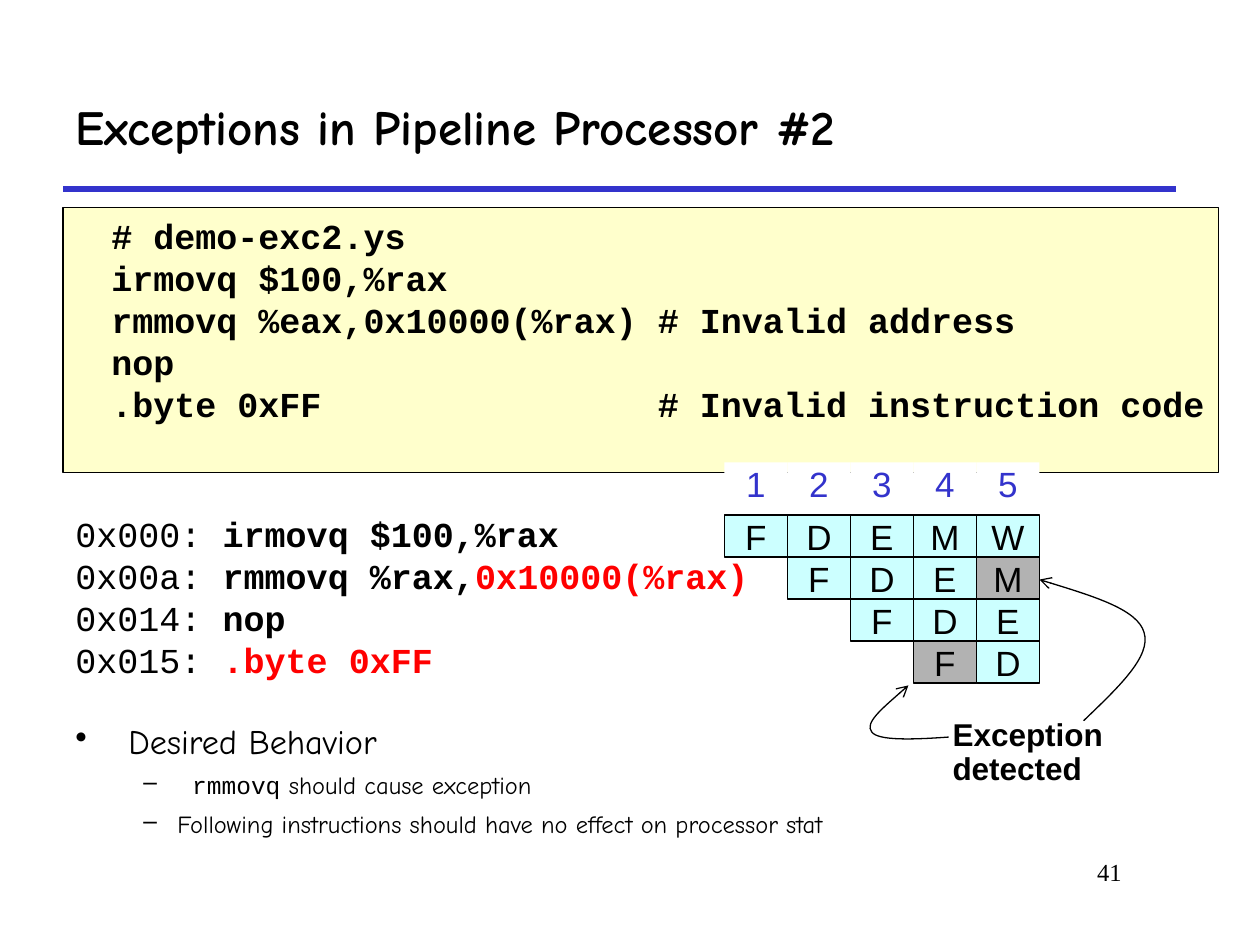
from lxml import etree
from pptx import Presentation
from pptx import util as u
from pptx.dml.color import RGBColor
from pptx.enum import shapes, text
from pptx.oxml import ns

COLORS = {"black": "000000", "white": "FFFFFF", "blue": "3333CC", "red": "FF0000",
          "cream": "FFFFCC", "cyan": "CCFFFF", "gray": "B2B2B2"}
MONO, SANS, COMIC, SERIF = "Courier New", "Arial", "Comic Neue", "Times New Roman"
LEFT, CENTER, RIGHT = text.PP_ALIGN.LEFT, text.PP_ALIGN.CENTER, text.PP_ALIGN.RIGHT
TOP, MIDDLE = text.MSO_ANCHOR.TOP, text.MSO_ANCHOR.MIDDLE

CODE = """  # demo-exc2.ys
  irmovq $100,%rax
  rmmovq %eax,0x10000(%rax) # Invalid address
  nop
  .byte 0xFF                # Invalid instruction code""".split("\n")
# Address, plain part and faulty part of each instruction
LISTING = [("0x000: ", "irmovq $100,%rax", ""),
           ("0x00a: ", "rmmovq %rax,", "0x10000(%rax)"),
           ("0x014: ", "nop", ""),
           ("0x015: ", "", ".byte 0xFF")]
STAGES = "FDEMW"
FAULTS = {(1, 4), (3, 3)}
GRID_LEFT, GRID_TOP, CELL_WIDTH, ROW_STEP = 5.75, 4.09, 0.5, 1 / 3


def rgb(name):
    return RGBColor.from_string(COLORS[name])


def inches(*lengths):
    return [u.Inches(length) for length in lengths]


def set_font(font, name, size, color="black", bold=False):
    font.name, font.size, font.bold = name, u.Pt(size), bold
    font.color.rgb = rgb(color)


def set_frame(box, anchor=TOP, wrap=True, inset=None):
    frame = box.text_frame
    frame.vertical_anchor, frame.word_wrap = anchor, wrap
    if inset is not None:
        frame.margin_left = frame.margin_right = u.Inches(inset)
        frame.margin_top = frame.margin_bottom = u.Inches(inset)
    return frame


def write_lines(frame, lines, align, *font):
    for index, line in enumerate(lines):
        para = frame.add_paragraph() if index else frame.paragraphs[0]
        para.alignment = align
        set_font(para.font, *font)
        para.add_run().text = line


def add_text(page, place, line, font, align=LEFT, **layout):
    box = page.shapes.add_textbox(*inches(*place))
    frame = set_frame(box, **layout)
    write_lines(frame, [line], align, *font)
    return frame


def add_panel(page, place, fill, border=None):
    box = page.shapes.add_shape(shapes.MSO_SHAPE.RECTANGLE, *inches(*place))
    box.shadow.inherit = False
    box.fill.solid()
    box.fill.fore_color.rgb = rgb(fill)
    if border:
        box.line.color.rgb = rgb("black")
        box.line.width = u.Pt(border)
    else:
        box.line.fill.background()
    return box


def add_cell(page, row_top, column, label, fill, color="black", border=None):
    place = (GRID_LEFT + column * CELL_WIDTH, row_top, CELL_WIDTH, 0.33)
    box = add_panel(page, place, fill, border)
    write_lines(set_frame(box, MIDDLE, False), [label], CENTER, SANS, 20, color)


def add_instruction(page, row, address, plain, faulty):
    box = add_panel(page, (0.5, 4.07 + row * ROW_STEP, 5.33 if row == 1 else 2.84, 0.33), "white")
    para = set_frame(box, MIDDLE, False).paragraphs[0]
    para.alignment = LEFT
    set_font(para.font, MONO, 20)
    for part, bold, color in ((address, False, "black"), (plain, True, "black"),
                              (faulty, True, "red")):
        if part:
            span = para.add_run()
            span.text = part
            span.font.bold, span.font.color.rgb = bold, rgb(color)


def add_bullet(para, mark, margin, hang, size, spans, before=0):
    props = para._p.get_or_add_pPr()
    props.set("marL", str(u.Inches(margin)))
    props.set("indent", str(-u.Inches(hang)))
    color = etree.SubElement(props, ns.qn("a:buClr"))
    etree.SubElement(color, ns.qn("a:srgbClr"), val=COLORS["black"])
    etree.SubElement(props, ns.qn("a:buChar"), char=mark)
    para.space_before = u.Pt(before)
    set_font(para.font, COMIC, size)
    for words, name in spans:
        span = para.add_run()
        span.text = words
        if name != COMIC:
            span.font.name = name


def add_curved_arrow(page, start, *points):
    """Draw cubic curves: each three points are two handles and an end."""
    builder = page.shapes.build_freeform(*inches(*start))
    builder.add_line_segments([inches(*point) for point in points], close=False)
    arrow = builder.convert_to_shape()
    arrow.shadow.inherit = False
    arrow.fill.background()
    arrow.line.color.rgb = rgb("black")
    arrow.line.width = u.Pt(0.75)
    etree.SubElement(arrow.line._get_or_add_ln(), ns.qn("a:tailEnd"), type="arrow")
    # Turn each three straight segments into one curve
    segments = list(arrow._element.iter(ns.qn("a:lnTo")))
    for first in range(0, len(segments), 3):
        curve = etree.Element(ns.qn("a:cubicBezTo"))
        segments[first].addprevious(curve)
        for segment in segments[first:first + 3]:
            curve.append(segment[0])
            segment.getparent().remove(segment)


def add_rule(page):
    rule = page.shapes.add_connector(shapes.MSO_CONNECTOR.STRAIGHT, *inches(0.5, 1.5, 9.33, 1.5))
    rule.line.color.rgb = rgb("blue")
    rule.line.width = u.Pt(3)
    etree.SubElement(rule._element.spPr, ns.qn("a:effectLst"))


def add_behavior(page):
    frame = set_frame(page.shapes.add_textbox(*inches(0.5, 5.67, 9.08, 1.09)))
    add_bullet(frame.paragraphs[0], "•", 0.42, 0.42, 19.6, [("Desired Behavior", COMIC)])
    for spans in ([(" rmmovq", MONO), (" should cause exception", COMIC)],
                  [("Following instructions should have no effect on processor stat", COMIC)]):
        add_bullet(frame.add_paragraph(), "–", 0.81, 0.27, 14, spans, before=5)


def add_pipeline(page):
    for column in range(len(STAGES)):
        add_cell(page, 3.67, column, str(column + 1), "white", "blue")
    for row in range(len(LISTING)):
        for column in range(row, len(STAGES)):
            fill = "gray" if (row, column) in FAULTS else "cyan"
            add_cell(page, GRID_TOP + row * ROW_STEP, column, STAGES[column - row], fill, border=1)


def main():
    deck = Presentation()
    deck.slide_width, deck.slide_height = inches(10, 7.5)
    page = deck.slides.add_slide(deck.slide_layouts[6])

    # Heading, page number and bullets
    add_rule(page)
    add_text(page, (7.58, 6.75, 1.42, 0.5), "41", (SERIF, 14), RIGHT)
    add_text(page, (0.5, 0.5, 8.83, 1), "Exceptions in Pipeline Processor #2",
             (COMIC, 28, "black", True), anchor=MIDDLE)
    add_behavior(page)

    # Source code and its instruction listing
    code_box = add_panel(page, (0.5, 1.65, 9.17, 2.1), "cream", 0.75)
    write_lines(set_frame(code_box, inset=0.05), CODE, LEFT, MONO, 20, "black", True)
    for row, parts in enumerate(LISTING):
        add_instruction(page, row, *parts)

    # Pipeline stages and the exception callout
    add_pipeline(page)
    callout = add_text(page, (7.51, 5.66, 2.39, 0.37), "Exception detected",
                       (SANS, 18, "black", True), wrap=False, inset=0.05)
    callout.paragraphs[0].line_spacing = 0.9
    add_curved_arrow(page, (8.6, 5.72), (8.87, 5.46), (9.14, 5.21), (9.08, 5.02),
                     (9.03, 4.84), (8.64, 4.72), (8.25, 4.6))
    add_curved_arrow(page, (7.53, 5.85), (7.25, 5.87), (6.97, 5.88), (6.92, 5.81),
                     (6.86, 5.74), (7.04, 5.59), (7.21, 5.44))
    deck.save("out.pptx")


if __name__ == "__main__":
    main()
